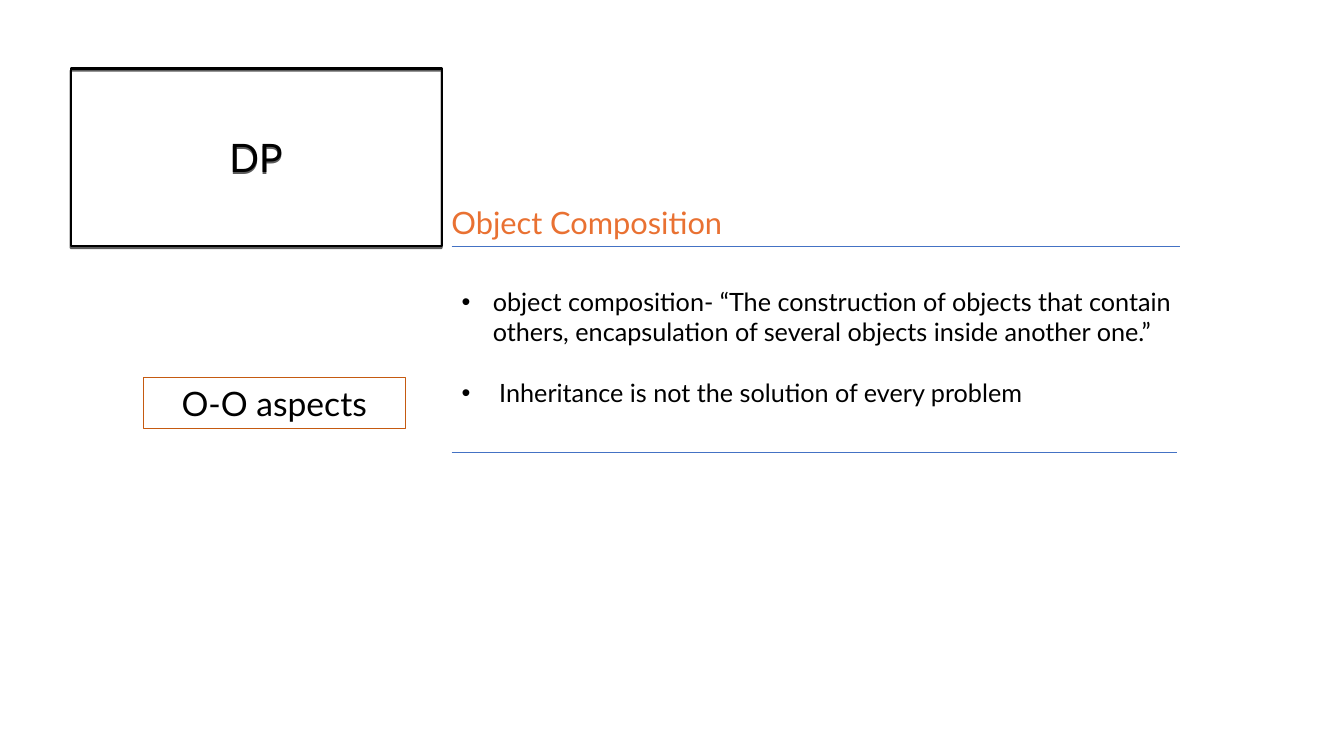
from lxml import etree
from pptx import Presentation
from pptx.dml.color import RGBColor
from pptx.enum.shapes import MSO_CONNECTOR, MSO_SHAPE
from pptx.enum.text import MSO_ANCHOR, PP_ALIGN
from pptx.oxml.ns import qn
from pptx.util import Emu, Pt

RECT = MSO_SHAPE.RECTANGLE
STRAIGHT = MSO_CONNECTOR.STRAIGHT
MIDDLE = MSO_ANCHOR.MIDDLE
CENTER = PP_ALIGN.CENTER
SCALE = 9144
COLORS = {"ink": "000000", "rule": "4472C4", "edge": "C55A11", "head": "E97132"}


class Deck:
    """Hold the style and the current slide, and draw each kind of element."""

    def __init__(self, width, height, font):
        self.prs = Presentation()
        self.prs.slide_width = self.px(width)
        self.prs.slide_height = self.px(height)
        self.slide = self.prs.slides.add_slide(self.prs.slide_layouts[6])
        self.font = font

    def px(self, value):
        return Emu(value * SCALE)

    def color(self, name):
        return RGBColor.from_string(COLORS[name])

    def text(self, para, words, size, color="ink"):
        run = para.add_run()
        run.text = words
        run.font.name = self.font
        run.font.size = Pt(size)
        run.font.color.rgb = self.color(color)

    def box(self, area, words, size, edge, weight):
        shape = self.slide.shapes.add_shape(RECT, *map(self.px, area))
        shape.shadow.inherit = False
        shape.fill.background()
        shape.line.color.rgb = self.color(edge)
        shape.line.width = Pt(weight)
        frame = shape.text_frame
        frame.word_wrap = True
        frame.vertical_anchor = MIDDLE
        para = frame.paragraphs[0]
        para.alignment = CENTER
        self.text(para, words, size)
        return shape

    def shade(self, shape, drop, alpha):
        effects = shape.element.spPr.find(qn("a:effectLst"))
        outer = etree.SubElement(effects, qn("a:outerShdw"), dist=str(Pt(drop)),
                                 dir="5400000", rotWithShape="0")
        tint = etree.SubElement(outer, qn("a:srgbClr"), val=COLORS["ink"])
        etree.SubElement(tint, qn("a:alpha"), val=str(alpha * 1000))

    def rule(self, left, top, right):
        ends = map(self.px, (left, top, right, top))
        line = self.slide.shapes.add_connector(STRAIGHT, *ends)
        line.line.color.rgb = self.color("rule")
        line.line.width = Pt(0.5)
        etree.SubElement(line.element.spPr, qn("a:effectLst"))

    def frame(self, area):
        frame = self.slide.shapes.add_textbox(*map(self.px, area)).text_frame
        frame.word_wrap = True
        return frame

    def label(self, area, words, size, color):
        self.text(self.frame(area).paragraphs[0], words, size, color)

    def bullets(self, area, items, size, gap, indent):
        frame = self.frame(area)
        for index, words in enumerate(items):
            para = frame.add_paragraph() if index else frame.paragraphs[0]
            if index:
                para.space_before = Pt(gap)
            props = para._p.get_or_add_pPr()
            props.set("marL", str(self.px(indent)))
            props.set("indent", str(self.px(-indent)))
            etree.SubElement(props, qn("a:buFont"), typeface="Arial")
            etree.SubElement(props, qn("a:buChar"), char="•")
            self.text(para, words, size)

    def save(self):
        self.prs.save("out.pptx")


def main():
    deck = Deck(1333, 750, "Lato")
    title = deck.box((70, 68, 368, 176), "DP", 28, "ink", 1.5)
    deck.shade(title, 1.5, 63)
    deck.rule(448, 244, 1170)
    deck.rule(448, 449, 1167)
    deck.box((142, 375, 260, 50), "O-O aspects", 24, "edge", 0.75)
    deck.label((438, 197, 667, 47), "Object Composition", 22, "head")
    deck.bullets((448, 279, 760, 131), [
        "object composition- “The construction of objects that contain others, "
        "encapsulation of several objects inside another one.”",
        " Inheritance is not the solution of every problem",
    ], 18, 22, 31)
    deck.save()


if __name__ == "__main__":
    main()
